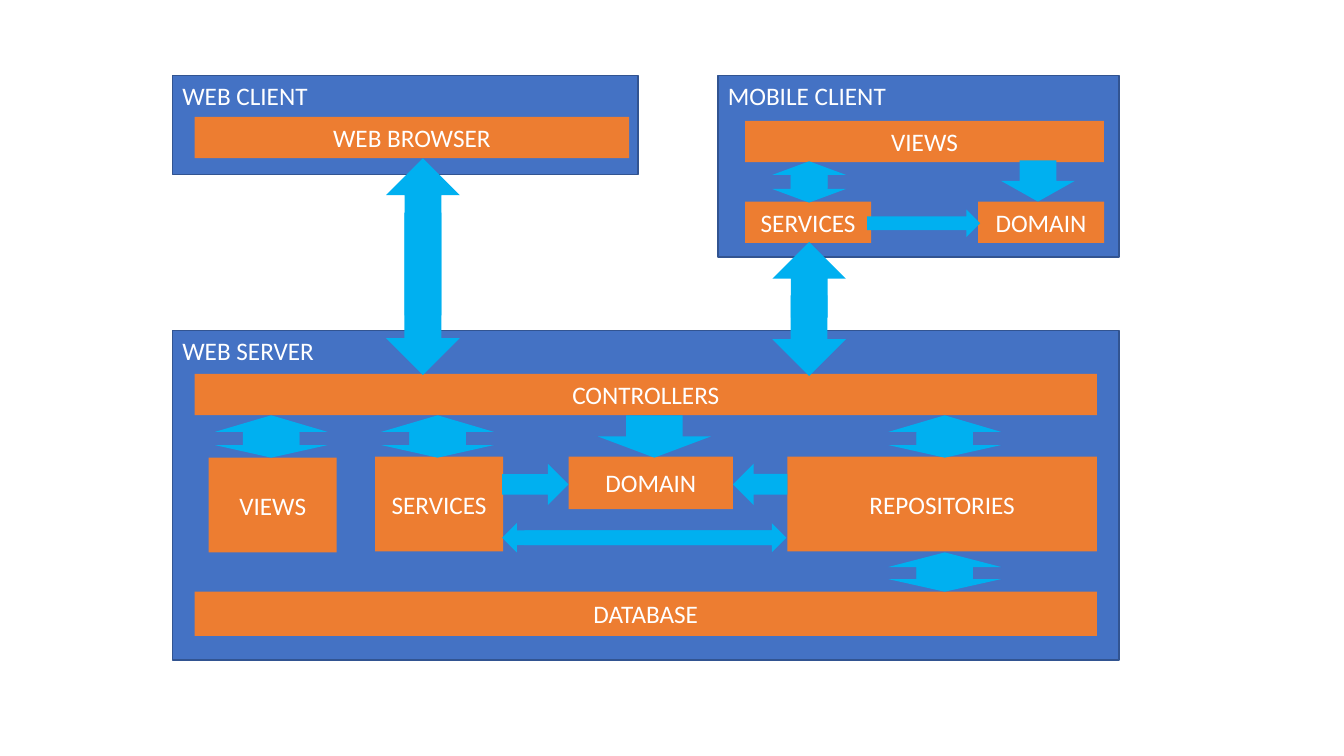
from pptx import Presentation
from pptx.dml.color import RGBColor
from pptx.enum.shapes import MSO_SHAPE as Shape
from pptx.enum.text import MSO_ANCHOR as Anchor, PP_ALIGN as Align
from pptx.util import Inches, Pt

PANEL_FILL, PANEL_LINE = "4472C4", "325491"
BLOCK_FILL, ARROW_FILL, TEXT = "ED7D31", "00B0F0", "FFFFFF"

# text, left, top, width, height
PANELS = [
    ("WEB SERVER", 1.71, 3.28, 9.39, 3.27),
    ("WEB CLIENT", 1.71, 0.75, 4.62, 0.98),
    ("MOBILE CLIENT", 7.12, 0.75, 3.98, 1.8),
]
BLOCKS = [
    ("CONTROLLERS", 1.93, 3.71, 8.95, 0.41),
    ("VIEWS", 2.07, 4.54, 1.27, 0.94),
    ("SERVICES", 3.72, 4.53, 1.27, 0.94),
    ("DOMAIN", 5.64, 4.53, 1.63, 0.52),
    ("REPOSITORIES", 7.81, 4.53, 3.07, 0.94),
    ("DATABASE", 1.93, 5.87, 8.95, 0.44),
    ("WEB BROWSER", 1.93, 1.16, 4.31, 0.41),
    ("VIEWS", 7.39, 1.2, 3.56, 0.41),
    ("SERVICES", 7.39, 2, 1.25, 0.41),
    ("DOMAIN", 9.7, 2, 1.25, 0.41),
]
# direction, left, top, width, height as seen on the slide
ARROWS = [
    ("right", 4.98, 4.6, 0.66, 0.41),   # server services to domain
    ("left", 7.27, 4.6, 0.54, 0.41),    # repositories to domain
    ("right", 5.2, 5.19, 2.6, 0.29),    # services to repositories
    ("left", 4.98, 5.19, 2.73, 0.29),   # repositories to services
    ("down", 5.93, 4.12, 1.12, 0.42),   # controllers to domain
    ("down", 9.93, 1.59, 0.73, 0.41),   # mobile views to domain
    ("right", 8.6, 2.08, 1.12, 0.27),   # mobile services to domain
]
# left, top, bottom, width, length of down arrow, length of up arrow
TWO_WAY = [
    (2.13, 4.12, 4.54, 1.12, 0.25, 0.33),   # controllers and views
    (3.78, 4.12, 4.54, 1.12, 0.25, 0.33),   # controllers and services
    (8.81, 4.12, 4.54, 1.12, 0.25, 0.33),   # controllers and repositories
    (8.81, 5.48, 5.87, 1.12, 0.25, 0.29),   # repositories and database
    (3.83, 1.57, 3.72, 0.73, 1.61, 1.56),   # browser and controllers
    (7.66, 2.4, 3.73, 0.73, 0.8, 0.75),     # mobile services and controllers
    (7.66, 1.6, 2.01, 0.73, 0.27, 0.27),    # mobile views and services
]
ROTATION = {"down": 0, "left": 90, "up": 180, "right": 270}


def color(value):
    """Turn a hex string into a colour."""
    return RGBColor.from_string(value)


def add_filled(preset, left, top, width, height, fill, line=None):
    """Add a flat preset shape, outlined only when a line colour is given."""
    shape = slide.shapes.add_shape(preset, *map(Inches, (left, top, width, height)))
    shape.shadow.inherit = False
    shape.fill.solid()
    shape.fill.fore_color.rgb = color(fill)
    if line:
        shape.line.color.rgb = color(line)
        shape.line.width = Pt(1)
    else:
        shape.line.fill.background()
    return shape


def write(shape, text, align, anchor):
    """Put one line of white text in a shape."""
    shape.text_frame.vertical_anchor = anchor
    paragraph = shape.text_frame.paragraphs[0]
    paragraph.text = text
    paragraph.alignment = align
    paragraph.font.name, paragraph.font.size = "Calibri", Pt(18)
    paragraph.font.color.rgb = color(TEXT)


def add_arrow(direction, left, top, width, height):
    """Turn a down arrow so that it covers the given visible box."""
    if direction in ("left", "right"):
        left += (width - height) / 2
        top += (height - width) / 2
        width, height = height, width
    shape = add_filled(Shape.DOWN_ARROW, left, top, width, height, ARROW_FILL)
    shape.rotation = ROTATION[direction]


presentation = Presentation()
presentation.slide_width, presentation.slide_height = Inches(13.33), Inches(7.5)
slide = presentation.slides.add_slide(presentation.slide_layouts[6])

for text, *box in PANELS:
    write(add_filled(Shape.RECTANGLE, *box, PANEL_FILL, PANEL_LINE), text, Align.LEFT, Anchor.TOP)
for text, *box in BLOCKS:
    write(add_filled(Shape.RECTANGLE, *box, BLOCK_FILL), text, Align.CENTER, Anchor.MIDDLE)
for arrow in ARROWS:
    add_arrow(*arrow)
for left, top, bottom, width, down_length, up_length in TWO_WAY:
    add_arrow("down", left, bottom - down_length, width, down_length)
    add_arrow("up", left, top, width, up_length)

presentation.save("out.pptx")
